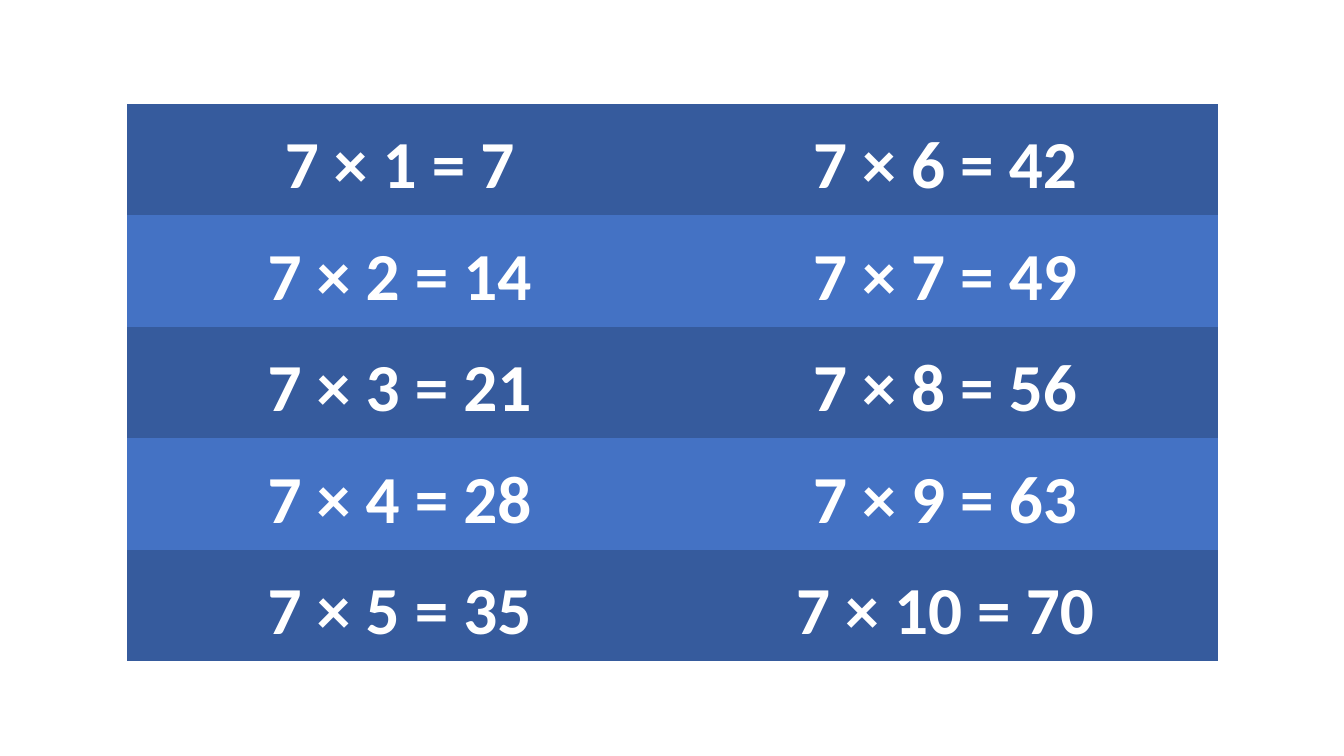
from pptx import Presentation
from pptx.dml.color import RGBColor
from pptx.enum.text import MSO_ANCHOR as Anchor, PP_ALIGN as Align
from pptx.util import Inches, Pt

FACTOR = 7
ROWS, COLUMNS = 5, 2
WHITE, DARK_BLUE, BLUE = "FFFFFF", "365B9D", "4472C4"


def color(hex_code):
    """Turn a hex string into a colour."""
    return RGBColor.from_string(hex_code)


def format_cell(cell, text, fill):
    """Write one centred equation on a plain fill."""
    cell.fill.solid()
    cell.fill.fore_color.rgb = color(fill)
    cell.vertical_anchor = Anchor.MIDDLE
    cell.margin_left = cell.margin_right = Inches(0.07)
    cell.margin_top = cell.margin_bottom = 0
    cell.text_frame.text = text
    para = cell.text_frame.paragraphs[0]
    para.alignment = Align.CENTER
    para.line_spacing = 1.15
    para.space_before = Pt(42)
    para.space_after = Pt(36)
    font = para.runs[0].font
    font.name = "Calibri"
    font.size = Pt(48)
    font.bold = True
    font.color.rgb = color(WHITE)


def add_times_table(page):
    """Add the multiplication table, counting down each column."""
    frame = page.shapes.add_table(
        ROWS, COLUMNS, Inches(1.26), Inches(1.03), Inches(10.82), Inches(5.53))
    table = frame.table
    table.first_row = table.horz_banding = False
    for row in range(ROWS):
        fill = BLUE if row % 2 else DARK_BLUE
        for column in range(COLUMNS):
            number = column * ROWS + row + 1
            equation = f"{FACTOR} × {number} = {FACTOR * number}"
            format_cell(table.cell(row, column), equation, fill)


def remove_borders(page):
    """Give the table the style that has no grid."""
    for style in page.shapes[0].element.iter("{*}tableStyleId"):
        style.text = "{2D5ABB26-0587-4C30-8999-92F81FD0307C}"


def main():
    """Build and save the slide."""
    deck = Presentation()
    deck.slide_width, deck.slide_height = Inches(13.33), Inches(7.5)
    page = deck.slides.add_slide(deck.slide_layouts[6])
    add_times_table(page)
    remove_borders(page)
    deck.save("out.pptx")


main()
